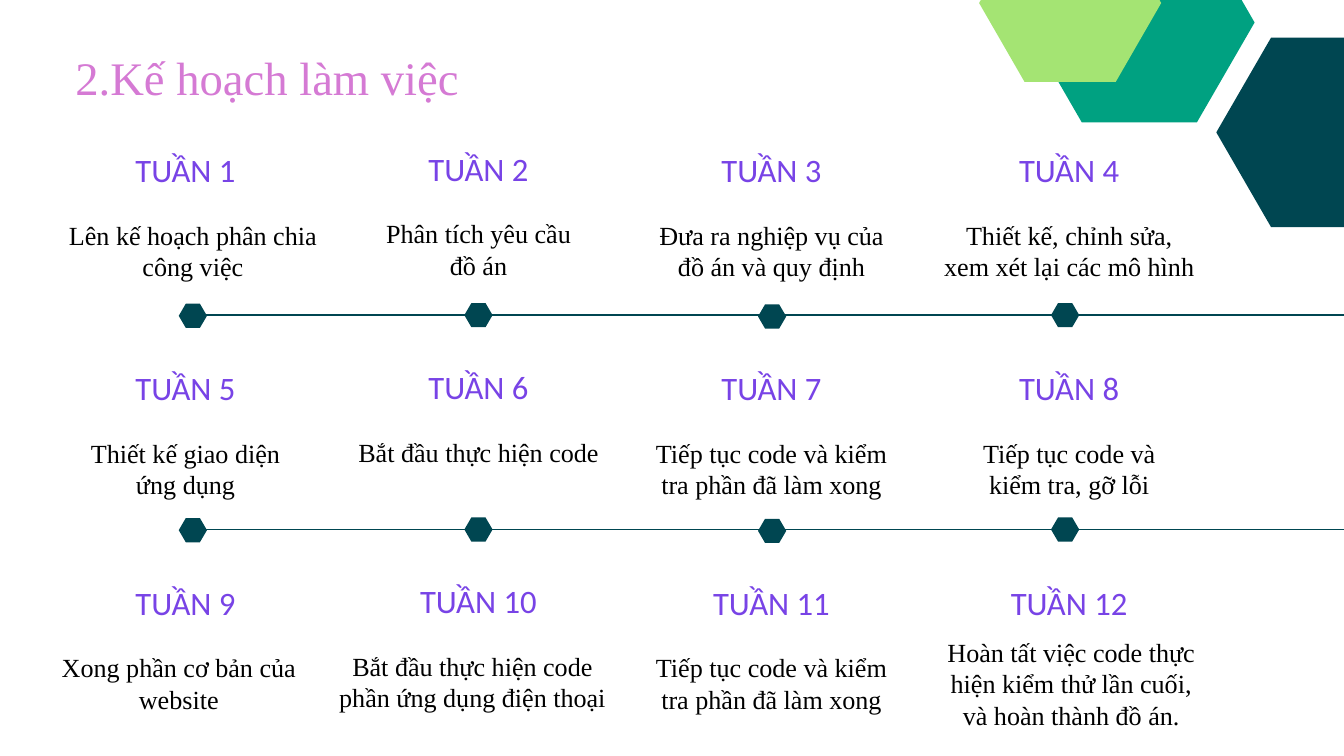
from dataclasses import dataclass

import pptx
import pptx.dml.color
import pptx.enum.shapes
import pptx.enum.text
import pptx.oxml.ns
import pptx.util
from lxml import etree
from pptx.util import Inches, Pt

DARK, GREEN, LIME = "004651", "00A181", "A4E473"
CENTER = pptx.enum.text.PP_ALIGN.CENTER
LEFT = pptx.enum.text.PP_ALIGN.LEFT


@dataclass(frozen=True)
class TextStyle:
    font: str
    size: float
    color: str
    line_pitch: float
    align: int


@dataclass(frozen=True)
class Hexagon:
    left: float
    top: float
    width: float
    height: float
    color: str


@dataclass(frozen=True)
class Week:
    task: str
    center: float
    width: float
    lines: int = 2
    lift: float = 0


TITLE = TextStyle("Times New Roman", 50, "D57AD4", 60, LEFT)
HEADING = TextStyle("Calibri", 35, "7843E6", 26.2, CENTER)
TASK = TextStyle("Times New Roman", 28, "000000", 33.6, CENTER)

FRAME_FORMAT = {
    "margin_left": 0, "margin_top": 0, "margin_right": 0, "margin_bottom": 0,
    "word_wrap": True,
    "vertical_anchor": pptx.enum.text.MSO_ANCHOR.TOP,
    "auto_size": pptx.enum.text.MSO_AUTO_SIZE.SHAPE_TO_FIT_TEXT,
}

# Heading centres, and the small vertical shift of each column
COLUMN_CENTERS = (2.76, 7.12, 11.48, 15.91)
COLUMN_SHIFTS = (0, -0.02, 0, 0)
ROW_TOPS = (2.45, 5.7, 8.89)
TASK_OFFSET = 0.81

# Timelines: hexagon markers on a line
LINE_TOPS = (4.69, 7.88)
MARKER_CENTERS = (2.87, 7.12, 11.49, 15.85)
MARKER_SHIFTS = (0.01, 0, 0.02, 0)
MARKER_WIDTH, MARKER_HEIGHT = 0.42, 0.36

CORNER_HEXAGONS = (
    Hexagon(18.1, 0.56, 3.26, 2.82, DARK),
    Hexagon(15.24, -1.15, 3.43, 2.97, GREEN),
    Hexagon(14.57, -1.13, 2.71, 2.35, LIME),
)

WEEKS = (
    Week("Lên kế hoạch phân chia công việc", 2.87, 3.75),
    Week("Phân tích yêu cầu đồ án", 7.12, 2.99),
    Week("Đưa ra nghiệp vụ của đồ án và quy định", 11.48, 3.75),
    Week("Thiết kế, chỉnh sửa, xem xét lại các mô hình", 15.91, 3.75),
    Week("Thiết kế giao diện ứng dụng", 2.76, 3.14),
    Week("Bắt đầu thực hiện code", 7.12, 3.58, lines=1),
    Week("Tiếp tục code và kiểm tra phần đã làm xong", 11.48, 3.75),
    Week("Tiếp tục code và kiểm tra, gỡ lỗi", 15.91, 2.81),
    Week("Xong phần cơ bản của website", 2.66, 4.21),
    Week("Bắt đầu thực hiện code phần ứng dụng điện thoại", 7.03, 4.04),
    Week("Tiếp tục code và kiểm tra phần đã làm xong", 11.48, 3.75),
    Week("Hoàn tất việc code thực hiện kiểm thử lần cuối, và hoàn thành đồ án.",
         15.94, 3.99, lines=3, lift=0.23),
)


def rgb(color: str) -> pptx.dml.color.RGBColor:
    return pptx.dml.color.RGBColor.from_string(color)


def write_text(box, text: str, style: TextStyle) -> None:
    frame = box.text_frame
    for name, value in FRAME_FORMAT.items():
        setattr(frame, name, value)
    para = frame.paragraphs[0]
    para_format = {"alignment": style.align, "line_spacing": Pt(style.line_pitch),
                   "space_before": Pt(0)}
    for name, value in para_format.items():
        setattr(para, name, value)
    span = para.add_run()
    span.text = text
    for name, value in {"name": style.font, "size": Pt(style.size), "bold": False}.items():
        setattr(span.font, name, value)
    span.font.color.rgb = rgb(style.color)


def add_centered_text(page, center: float, top: float, width: float, height: float,
                      text: str, style: TextStyle) -> None:
    box = page.shapes.add_textbox(Inches(center - width / 2), Inches(top),
                                  Inches(width), Inches(height))
    write_text(box, text, style)


def add_hexagon(page, hexagon: Hexagon) -> None:
    left, right = hexagon.left, hexagon.left + hexagon.width
    top, bottom = hexagon.top, hexagon.top + hexagon.height
    middle, inset = (top + bottom) / 2, hexagon.width / 4
    corners = [(right, middle), (right - inset, bottom), (left + inset, bottom),
               (left, middle), (left + inset, top), (right - inset, top)]
    points = [(Inches(x), Inches(y)) for x, y in corners]
    builder = page.shapes.build_freeform(*points[0])
    builder.add_line_segments(points[1:], close=True)
    shape = builder.convert_to_shape()
    shape.shadow.inherit = False
    shape.fill.solid()
    shape.fill.fore_color.rgb = rgb(hexagon.color)
    shape.line.fill.background()


def add_timeline(page, y: float) -> None:
    line = page.shapes.add_connector(pptx.enum.shapes.MSO_CONNECTOR.STRAIGHT,
                                     Inches(3.07), Inches(y), Inches(20.4), Inches(y))
    line.line.color.rgb = rgb(DARK)
    line.line.width = Pt(1.5)
    etree.SubElement(line._element.spPr, pptx.oxml.ns.qn("a:effectLst"))
    for center, shift in zip(MARKER_CENTERS, MARKER_SHIFTS):
        add_hexagon(page, Hexagon(center - MARKER_WIDTH / 2, y + shift - MARKER_HEIGHT / 2,
                                  MARKER_WIDTH, MARKER_HEIGHT, DARK))


def add_week(page, index: int, week: Week) -> None:
    row, column = divmod(index, len(COLUMN_CENTERS))
    top = ROW_TOPS[row] + COLUMN_SHIFTS[column]
    number = index + 1
    add_centered_text(page, COLUMN_CENTERS[column], top, 1.84 if number < 10 else 2.12,
                      0.5, f"TUẦN {number}", HEADING)
    add_centered_text(page, week.center, top + TASK_OFFSET - week.lift, week.width,
                      0.45 * week.lines, week.task, TASK)


def main() -> None:
    deck = pptx.Presentation()
    deck.slide_width, deck.slide_height = Inches(20), Inches(11.25)
    page = deck.slides.add_slide(deck.slide_layouts[5])
    page.background.fill.solid()
    page.background.fill.fore_color.rgb = rgb("FFFFFF")

    # Title
    title = page.shapes.title
    place = {"left": 1.12, "top": 0.72, "width": 5.9, "height": 0.81}
    for name, value in place.items():
        setattr(title, name, Inches(value))
    write_text(title, "2.Kế hoạch làm việc", TITLE)

    # Corner decoration
    for hexagon in CORNER_HEXAGONS:
        add_hexagon(page, hexagon)

    # Timelines and weekly tasks
    for y in LINE_TOPS:
        add_timeline(page, y)
    for index, week in enumerate(WEEKS):
        add_week(page, index, week)

    deck.save("out.pptx")


if __name__ == "__main__":
    main()
